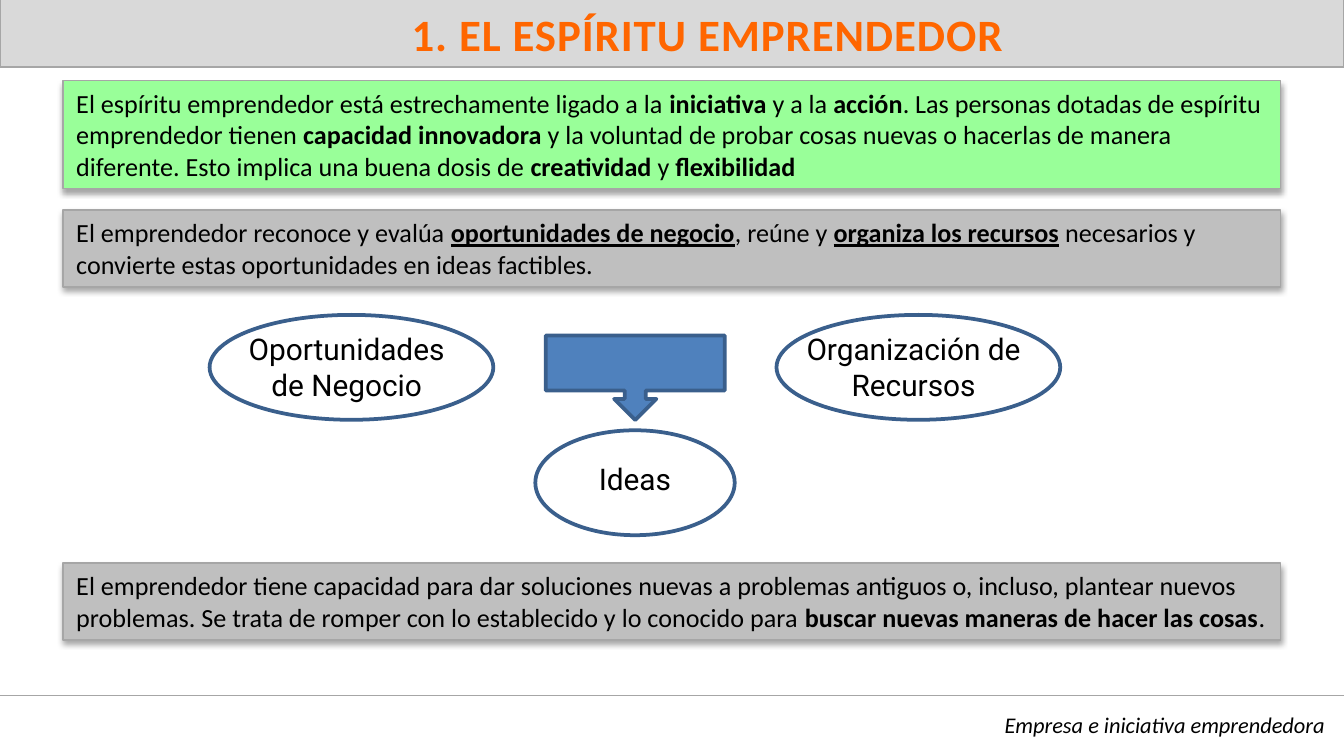
from lxml.etree import SubElement
from pptx import Presentation
from pptx.dml.color import RGBColor
from pptx.enum.shapes import MSO_CONNECTOR, MSO_SHAPE
from pptx.enum.text import MSO_ANCHOR, MSO_AUTO_SIZE, PP_ALIGN
from pptx.oxml.ns import qn
from pptx.util import Pt

BLACK, GREY_LINE, BLUE_LINE = "000000", "A6A6A6", "3A5F8C"
PANEL_LEFT, PANEL_WIDTH = 33.8, 652.3
OVAL_HEIGHT = 56.2


def color(hex_string):
    return RGBColor.from_string(hex_string)


def place(shape, left, top, width, height):
    shape.left, shape.top = Pt(left), Pt(top)
    shape.width, shape.height = Pt(width), Pt(height)


def paint(shape, fill, line, line_width):
    if fill:
        shape.fill.solid()
        shape.fill.fore_color.rgb = color(fill)
    else:
        shape.fill.background()
    shape.line.color.rgb = color(line)
    shape.line.width = Pt(line_width)


def format_paragraph(paragraph, size, font_name, text_color, align):
    paragraph.alignment = align
    paragraph.font.size = Pt(size)
    paragraph.font.name = font_name
    paragraph.font.color.rgb = color(text_color)


def add_preset(slide, kind, box, fill, line, line_width):
    shape = slide.shapes.add_shape(kind, *map(Pt, box))
    paint(shape, fill, line, line_width)
    shape.shadow.inherit = False
    return shape


def add_soft_shadow(shape):
    effects = shape._element.spPr.find(qn("a:effectLst"))
    shadow = SubElement(effects, qn("a:outerShdw"), blurRad=str(Pt(3.1)),
                        dist=str(Pt(1.8)), dir="5400000", rotWithShape="0")
    shadow_color = SubElement(shadow, qn("a:srgbClr"), val=BLACK)
    SubElement(shadow_color, qn("a:alpha"), val="35000")


def add_panel(slide, top, height, fill, text, underline=False):
    """Shadowed text panel; the parts between asterisks are emphasised."""
    box = (PANEL_LEFT, top, PANEL_WIDTH, height)
    panel = add_preset(slide, MSO_SHAPE.RECTANGLE, box, fill, GREY_LINE, 0.75)
    add_soft_shadow(panel)
    frame = panel.text_frame
    frame.word_wrap = True
    frame.vertical_anchor = MSO_ANCHOR.TOP
    paragraph = frame.paragraphs[0]
    format_paragraph(paragraph, 14, "Calibri", BLACK, PP_ALIGN.LEFT)
    for index, part in enumerate(text.split("*")):
        if not part:
            continue
        run = paragraph.add_run()
        run.text = part
        if index % 2:
            run.font.bold = True
            run.font.underline = underline or None


def add_label(slide, box, text, size, font_name, align):
    label = slide.shapes.add_textbox(*map(Pt, box))
    label.text_frame.word_wrap = True
    paragraph = label.text_frame.paragraphs[0]
    paragraph.text = text
    format_paragraph(paragraph, size, font_name, BLACK, align)
    return paragraph


def add_oval(slide, left, top, width, text, label_box):
    add_preset(slide, MSO_SHAPE.OVAL, (left, top, width, OVAL_HEIGHT),
               None, BLUE_LINE, 2)
    add_label(slide, label_box, text, 16, "Roboto", PP_ALIGN.CENTER)


def add_title(slide, text):
    title = slide.shapes.title
    place(title, 0, -0.5, 720, 36.5)
    paint(title, "D9D9D9", GREY_LINE, 0.75)
    frame = title.text_frame
    frame.auto_size = MSO_AUTO_SIZE.NONE
    frame.vertical_anchor = MSO_ANCHOR.BOTTOM
    paragraph = frame.paragraphs[0]
    paragraph.text = text
    format_paragraph(paragraph, 24, "Calibri", "FF6600", PP_ALIGN.CENTER)
    paragraph.font.bold = True
    properties = paragraph._p.get_or_add_pPr()
    properties.set("marL", str(Pt(38)))
    properties.set("indent", "0")
    paragraph.runs[0]._r.get_or_add_rPr().set("spc", "50")


def add_footer(slide, text):
    rule = slide.shapes.add_connector(MSO_CONNECTOR.STRAIGHT, Pt(0), Pt(372.5),
                                      Pt(720), Pt(372.5))
    rule.line.color.rgb = color(GREY_LINE)
    rule.line.width = Pt(0.75)
    SubElement(rule._element.spPr, qn("a:effectLst"))
    paragraph = add_label(slide, (65, 377.5, 652, 21.6), text, 12, "Calibri",
                          PP_ALIGN.RIGHT)
    paragraph.font.italic = True


def main():
    presentation = Presentation()
    presentation.slide_width, presentation.slide_height = Pt(720), Pt(405)
    slide = presentation.slides.add_slide(presentation.slide_layouts[5])

    # Heading and footer
    add_title(slide, "1. EL ESPÍRITU EMPRENDEDOR")
    add_footer(slide, "Empresa e iniciativa emprendedora")

    # Text panels
    add_panel(slide, 43.2, 58, "99FF99",
              "El espíritu emprendedor está estrechamente ligado a la "
              "*iniciativa *y a la *acción*. Las personas dotadas de espíritu "
              "emprendedor tienen *capacidad innovadora* y la voluntad de "
              "probar cosas nuevas o hacerlas de manera diferente. Esto "
              "implica una buena dosis de *creatividad* y *flexibilidad*")
    add_panel(slide, 112.5, 41.2, "BFBFBF",
              "El emprendedor reconoce y evalúa *oportunidades de negocio*, "
              "reúne y *organiza los recursos* necesarios y convierte estas "
              "oportunidades en ideas factibles.", underline=True)
    add_panel(slide, 301.7, 41.2, "BFBFBF",
              "El emprendedor tiene capacidad para dar soluciones nuevas a "
              "problemas antiguos o, incluso, plantear nuevos problemas. Se "
              "trata de romper con lo establecido y lo conocido para "
              "*buscar nuevas maneras de hacer las cosas*.")

    # Diagram: opportunities and resources lead to ideas
    for left, text in ((112.3, "Oportunidades de Negocio"),
                       (416, "Organización de Recursos")):
        add_oval(slide, left, 168.7, 152, text, (left + 5.7, 173.5, 135.4, 46))
    add_oval(slide, 286.8, 230.5, 106.8, "Ideas", (286.8, 243.4, 106.6, 26.6))
    add_preset(slide, MSO_SHAPE.DOWN_ARROW_CALLOUT, (292.3, 179.8, 96, 45.2),
               "4F81BD", BLUE_LINE, 2)

    presentation.save("out.pptx")


if __name__ == "__main__":
    main()
